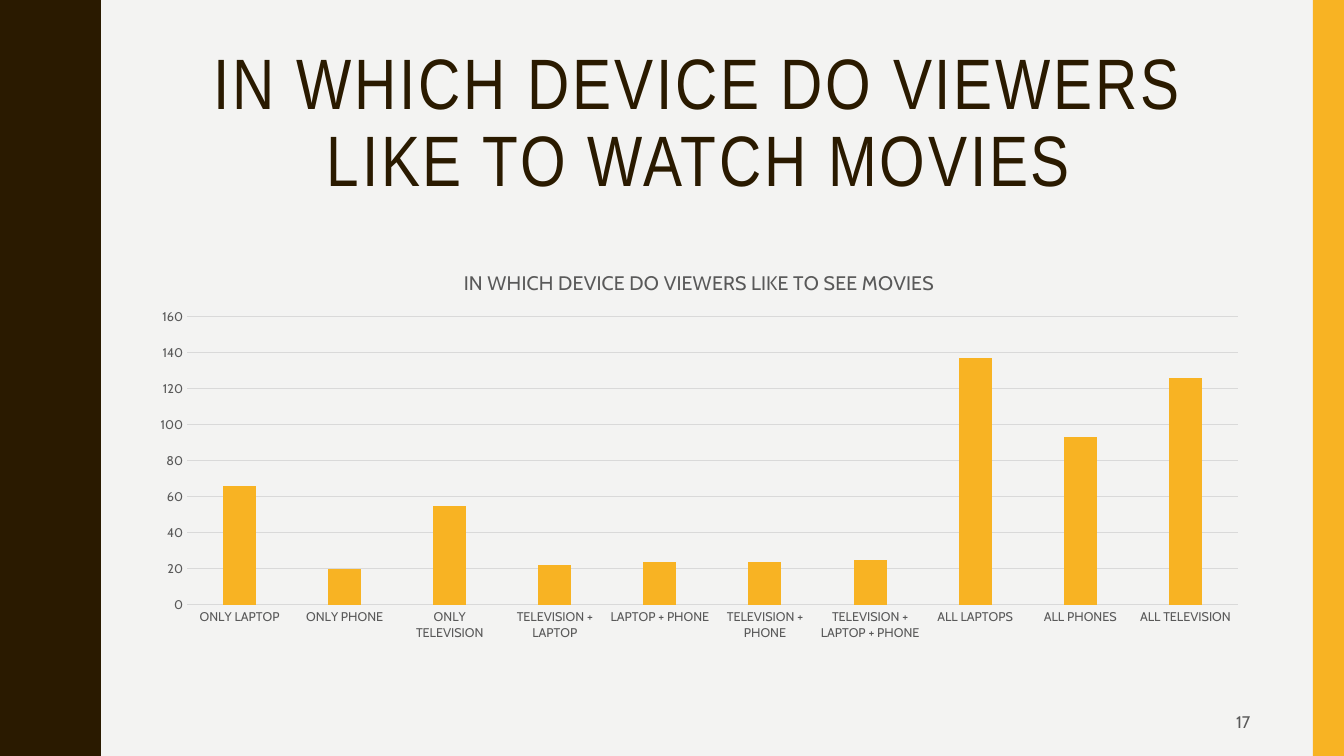
from lxml import etree
from pptx import Presentation
from pptx.chart.data import CategoryChartData
from pptx.dml.color import RGBColor
from pptx.enum.chart import XL_CHART_TYPE, XL_TICK_MARK
from pptx.enum.shapes import MSO_SHAPE
from pptx.enum.text import MSO_ANCHOR, PP_ALIGN
from pptx.util import Inches, Pt

# Content
TITLE = "IN WHICH DEVICE DO VIEWERS LIKE TO WATCH MOVIES"
CHART_TITLE = "IN WHICH DEVICE DO VIEWERS LIKE TO SEE MOVIES"
PAGE_NUMBER = "17"
VIEWERS = {
    "ONLY LAPTOP": 66,
    "ONLY PHONE": 20,
    "ONLY TELEVISION": 55,
    "TELEVISION + LAPTOP": 22,
    "LAPTOP + PHONE": 24,
    "TELEVISION + PHONE": 24,
    "TELEVISION + LAPTOP + PHONE": 25,
    "ALL LAPTOPS": 137,
    "ALL PHONES": 93,
    "ALL TELEVISION": 126,
}

# Style
BROWN = RGBColor(0x2A, 0x1A, 0x00)
YELLOW = RGBColor(0xF8, 0xB3, 0x23)
PAPER = RGBColor(0xF3, 0xF3, 0xF2)
GREY = RGBColor(0x59, 0x59, 0x59)
GRID = RGBColor(0xD9, 0xD9, 0xD9)
HEAD_FONT, BODY_FONT = "Arial Narrow", "Cabin"
NO_TICK = XL_TICK_MARK.NONE

# Layout in inches
WIDTH, HEIGHT = 13.33, 7.5
LEFT, CONTENT_WIDTH = 1.37, 11.13
RIGHT = LEFT + CONTENT_WIDTH
BAR_WIDTH = 0.31
NUMBER_WIDTH = 3.08
WAVES = 5
WAVE_HEIGHT = HEIGHT / WAVES
# Outward half of one wave; the other half mirrors it
HALF_WAVE = [(0.78, 0), (0.78, 0.07), (0.79, 0.14), (0.8, 0.2), (0.81, 0.25),
             (0.83, 0.29), (0.85, 0.33), (0.87, 0.38), (0.89, 0.42),
             (0.91, 0.46), (0.93, 0.5), (0.95, 0.55), (0.96, 0.61),
             (0.97, 0.68), (0.97, 0.75)]


def paint(shape, color):
    shape.fill.solid()
    shape.fill.fore_color.rgb = color
    shape.line.fill.background()
    shape.shadow.inherit = False


def style(font, name, size, color):
    font.name, font.size, font.bold = name, Pt(size), False
    font.color.rgb = color


def add_text(page, place, text, align, name, size, color):
    box = page.shapes.add_textbox(*map(Inches, place))
    frame = box.text_frame
    frame.word_wrap = True
    frame.vertical_anchor = MSO_ANCHOR.MIDDLE
    para = frame.paragraphs[0]
    para.text = text
    para.alignment = align
    style(para.font, name, size, color)
    return para


deck = Presentation()
deck.slide_width, deck.slide_height = Inches(WIDTH), Inches(HEIGHT)
page = deck.slides.add_slide(deck.slide_layouts[6])
page.background.fill.solid()
page.background.fill.fore_color.rgb = PAPER

# Wavy left edge
wave = HALF_WAVE + [(x, WAVE_HEIGHT - y) for x, y in HALF_WAVE[-2::-1]]
edge = [(x, y + turn * WAVE_HEIGHT) for turn in range(WAVES) for x, y in wave]
outline = page.shapes.build_freeform(0, 0, scale=Inches(1))
outline.add_line_segments(edge + [(0, HEIGHT)], close=True)
paint(outline.convert_to_shape(), BROWN)

# Right bar
bar = page.shapes.add_shape(MSO_SHAPE.RECTANGLE, Inches(WIDTH - BAR_WIDTH), 0,
                            Inches(BAR_WIDTH), Inches(HEIGHT))
paint(bar, YELLOW)

# Title
heading = add_text(page, (LEFT, 0.42, CONTENT_WIDTH, 1.63), TITLE,
                   PP_ALIGN.CENTER, HEAD_FONT, 51, BROWN)
heading.line_spacing = 0.9
for span in heading.runs:
    span._r.get_or_add_rPr().set("spc", "200")

# Chart
data = CategoryChartData()
data.categories = list(VIEWERS)
data.add_series("Series 1", list(VIEWERS.values()))
chart = page.shapes.add_chart(
    XL_CHART_TYPE.COLUMN_CLUSTERED, Inches(LEFT), Inches(2.5),
    Inches(CONTENT_WIDTH), Inches(3.93), data).chart
style(chart.font, BODY_FONT, 10, GREY)
chart.has_legend = False
chart.has_title = True
chart_heading = chart.chart_title.text_frame.paragraphs[0]
chart_heading.text = CHART_TITLE
style(chart_heading.font, BODY_FONT, 14, GREY)

plot = chart.plots[0]
plot.gap_width, plot.overlap = 219, -27
plot.vary_by_categories = False
columns = plot.series[0].format
columns.fill.solid()
columns.fill.fore_color.rgb = YELLOW

for axis in (chart.category_axis, chart.value_axis):
    axis.major_tick_mark = axis.minor_tick_mark = NO_TICK
    style(axis.tick_labels.font, BODY_FONT, 9, GREY)
scale = chart.value_axis
scale.minimum_scale, scale.maximum_scale, scale.major_unit = 0, 160, 20
scale.format.line.fill.background()
scale.has_major_gridlines = True
for line in (chart.category_axis.format.line, scale.major_gridlines.format.line):
    line.color.rgb = GRID
    line.width = Pt(0.75)

# Page number
add_text(page, (RIGHT - NUMBER_WIDTH, 6.97, NUMBER_WIDTH, 0.38), PAGE_NUMBER,
         PP_ALIGN.RIGHT, BODY_FONT, 12, GREY)

deck.save("out.pptx")
